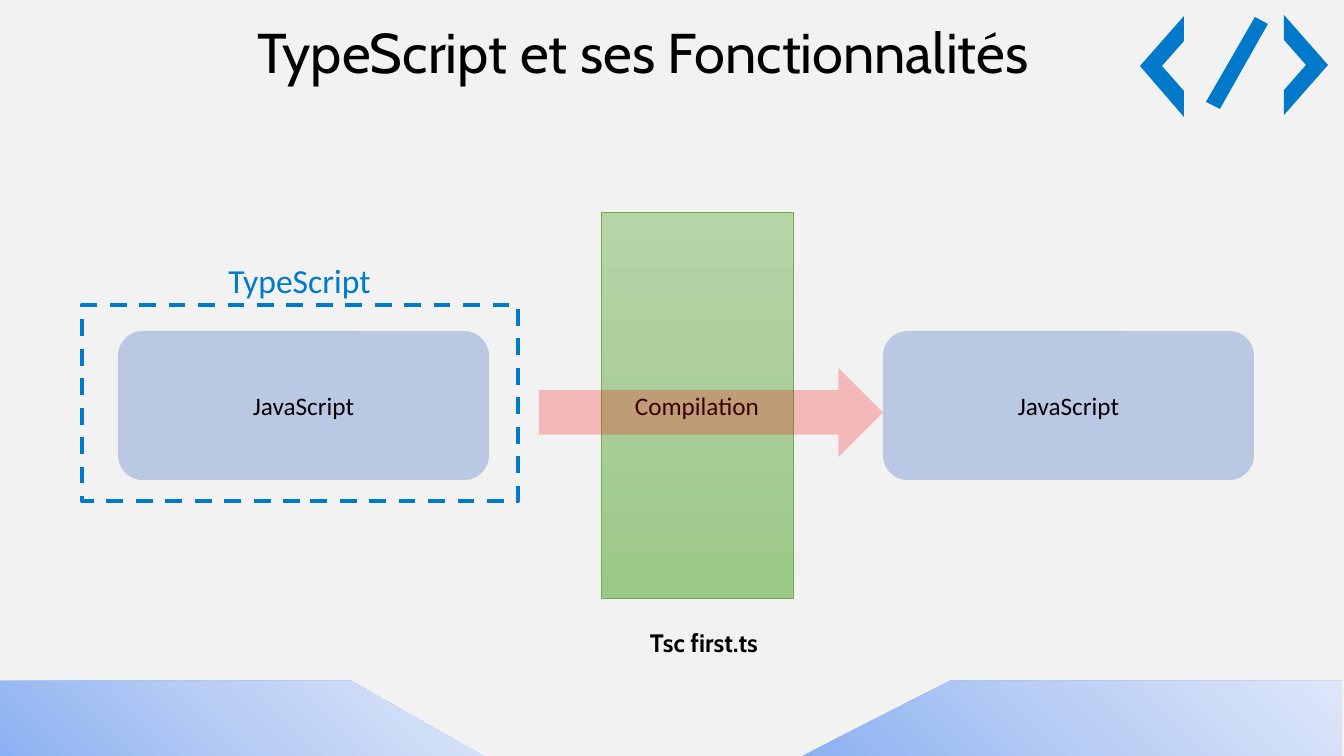
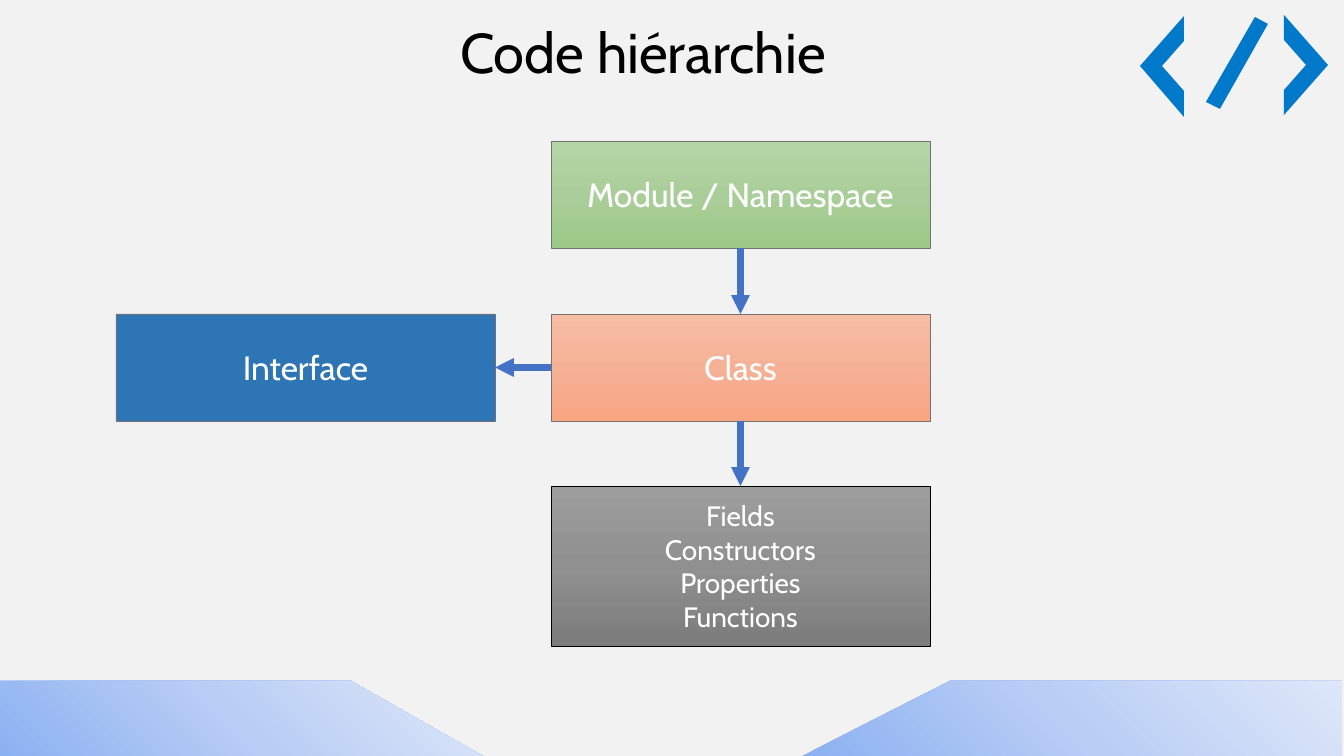
from copy import deepcopy

from lxml.etree import SubElement
from pptx import Presentation
from pptx.dml.color import RGBColor
from pptx.enum.dml import MSO_LINE
from pptx.enum.shapes import MSO_CONNECTOR, MSO_SHAPE
from pptx.enum.text import MSO_ANCHOR, MSO_AUTO_SIZE, PP_ALIGN
from pptx.oxml.ns import qn
from pptx.util import Pt

WIDTH, HEIGHT = 1344, 756
SCALE = 12192000 / WIDTH

BACKGROUND = "F2F2F2"
BLACK = "000000"
WHITE = "FFFFFF"
ICON_BLUE = "0079CB"
TYPESCRIPT_BLUE = "007ACC"
ACCENT_BLUE = "4472C4"
BORDER_GREY = "767171"
BAND_BLUES = ["8CB1F2", "BACEF5", "DEE7F9"]
GREENS = ["B5D5A7", "AACE9A", "9CC987"]
ORANGES = ["F7BDA5", "F5B196", "F8A582"]
GREYS = ["9D9D9D", "909090", "7C7C7C"]

TOP, LEFT, BOTTOM, RIGHT = range(4)
DOWNWARD, UP_RIGHT = 270, 45


def px(*lengths):
    return [round(length * SCALE) for length in lengths]


def color(value):
    return RGBColor.from_string(value)


class Deck:
    def __init__(self):
        self.presentation = Presentation()
        self.presentation.slide_width, self.presentation.slide_height = px(WIDTH, HEIGHT)
        self.layout = self.presentation.slide_layouts.get_by_name("Title Only")
        fill = self.layout.background.fill
        fill.solid()
        fill.fore_color.rgb = color(BACKGROUND)
        self.slide = None

    def add_slide(self, title):
        self.slide = self.presentation.slides.add_slide(self.layout)
        if len(self.presentation.slides) == 1:
            self.decorate_layout()
        shape = self.slide.shapes.title
        shape.left, shape.top, shape.width, shape.height = px(132, 12, 1022, 78)
        self.set_text(shape, [title], 40, BLACK)

    def decorate_layout(self):
        """Draw the bands and the code icon, then move them to the layout."""
        band_top = 681
        bands = [
            [(0, band_top), (351, band_top), (483, HEIGHT), (0, HEIGHT)],
            [(802, HEIGHT), (950, band_top), (1342, band_top), (1342, HEIGHT)],
        ]
        icon_strokes = [
            [(1184, 16), (1140, 66), (1184, 117), (1184, 91), (1162, 66), (1184, 41)],
            [(1255, 17), (1268, 24), (1220, 109), (1206, 102)],
            [(1284, 15), (1328, 65), (1284, 115), (1284, 90), (1306, 65), (1284, 40)],
        ]
        outlines = [self.outline(points, BAND_BLUES) for points in bands]
        outlines += [self.outline(points, ICON_BLUE) for points in icon_strokes]
        for shape in outlines:
            self.layout.shapes.element.append(shape.element)

    def outline(self, points, fill):
        builder = self.slide.shapes.build_freeform(*points[0], scale=SCALE)
        builder.add_line_segments(points[1:])
        shape = builder.convert_to_shape()
        self.paint(shape, fill, angle=UP_RIGHT)
        return shape

    def paint(self, shape, fill=None, line=None, line_width=0.5, alpha=None, angle=DOWNWARD):
        """Fill with nothing, one colour or a list of three gradient colours."""
        shape.shadow.inherit = False
        if fill is None:
            shape.fill.background()
        elif isinstance(fill, list):
            shape.fill.gradient()
            shape.fill.gradient_angle = angle
            stop_list = shape.element.spPr.find(".//" + qn("a:gsLst"))
            stop_list.append(deepcopy(stop_list[0]))
            for index, stop in enumerate(shape.fill.gradient_stops):
                stop.position = index / 2
                stop.color.rgb = color(fill[index])
        else:
            shape.fill.solid()
            shape.fill.fore_color.rgb = color(fill)
            if alpha is not None:
                fill_color = shape.element.spPr.find(".//" + qn("a:srgbClr"))
                SubElement(fill_color, qn("a:alpha"), val=str(alpha * 1000))
        if line is None:
            shape.line.fill.background()
        else:
            shape.line.color.rgb = color(line)
            shape.line.width = Pt(line_width)

    def set_text(self, shape, lines, size, text_color, font="Cabin", bold=False):
        frame = shape.text_frame
        frame.text = "\n".join(lines)
        frame.word_wrap = True
        frame.auto_size = MSO_AUTO_SIZE.NONE
        frame.vertical_anchor = MSO_ANCHOR.MIDDLE
        for paragraph in frame.paragraphs:
            paragraph.alignment = PP_ALIGN.CENTER
            paragraph.font.name = font
            paragraph.font.size = Pt(size)
            paragraph.font.bold = bold
            paragraph.font.color.rgb = color(text_color)

    def shape(self, kind, bounds, **style):
        shape = self.slide.shapes.add_shape(kind, *px(*bounds))
        self.paint(shape, **style)
        return shape

    def label(self, bounds, text, size, text_color, **style):
        box = self.slide.shapes.add_textbox(*px(*bounds))
        self.set_text(box, [text], size, text_color, **style)

    def script_box(self, left):
        box = self.shape(MSO_SHAPE.ROUNDED_RECTANGLE, (left, 331, 371, 149),
                         fill=ACCENT_BLUE, alpha=32)
        self.set_text(box, ["JavaScript"], 18, BLACK, font="Calibri")

    def code_box(self, left, top, height, lines, fill, size=24, line=BORDER_GREY):
        box = self.shape(MSO_SHAPE.RECTANGLE, (left, top, 379, height), fill=fill, line=line)
        self.set_text(box, lines, size, WHITE)
        return box

    def arrow(self, start, start_side, end, end_side):
        connector = self.slide.shapes.add_connector(MSO_CONNECTOR.STRAIGHT, 0, 0, 0, 0)
        connector.begin_connect(start, start_side)
        connector.end_connect(end, end_side)
        connector.line.color.rgb = color(ACCENT_BLUE)
        connector.line.width = Pt(4.5)
        properties = connector.element.spPr
        SubElement(properties.find(qn("a:ln")), qn("a:tailEnd"), type="triangle")
        SubElement(properties, qn("a:effectLst"))


def add_compilation_slide(deck):
    deck.add_slide("TypeScript et ses Fonctionnalités")
    frame = deck.shape(MSO_SHAPE.RECTANGLE, (82, 305, 436, 196),
                       line=TYPESCRIPT_BLUE, line_width=3)
    frame.line.dash_style = MSO_LINE.DASH
    deck.label((152, 255, 295, 50), "TypeScript", 24, TYPESCRIPT_BLUE, font="Calibri")
    deck.script_box(118)
    compiler = deck.shape(MSO_SHAPE.RECTANGLE, (601, 212, 192, 386), fill=GREENS, line="70AD47")
    deck.set_text(compiler, ["Compilation"], 18, BLACK, font="Calibri")
    deck.script_box(883)
    deck.shape(MSO_SHAPE.RIGHT_ARROW, (539, 368, 344, 89), fill="FF0000", alpha=24)
    deck.label((602, 622, 204, 40), "Tsc first.ts", 18, BLACK, bold=True)


def add_hierarchy_slide(deck):
    deck.add_slide("Code hiérarchie")
    column, middle, height = 551, 314, 107
    module = deck.code_box(column, 141, height, ["Module / Namespace"], GREENS)
    class_box = deck.code_box(column, middle, height, ["Class"], ORANGES)
    members = deck.code_box(column, 486, 160,
                            ["Fields", "Constructors", "Properties", "Functions"],
                            GREYS, size=20, line=BLACK)
    interface = deck.code_box(116, middle, height, ["Interface"], "2E75B6")
    deck.arrow(module, BOTTOM, class_box, TOP)
    deck.arrow(class_box, BOTTOM, members, TOP)
    deck.arrow(class_box, LEFT, interface, RIGHT)


def main():
    deck = Deck()
    add_compilation_slide(deck)
    add_hierarchy_slide(deck)
    deck.presentation.save("out.pptx")


if __name__ == "__main__":
    main()
